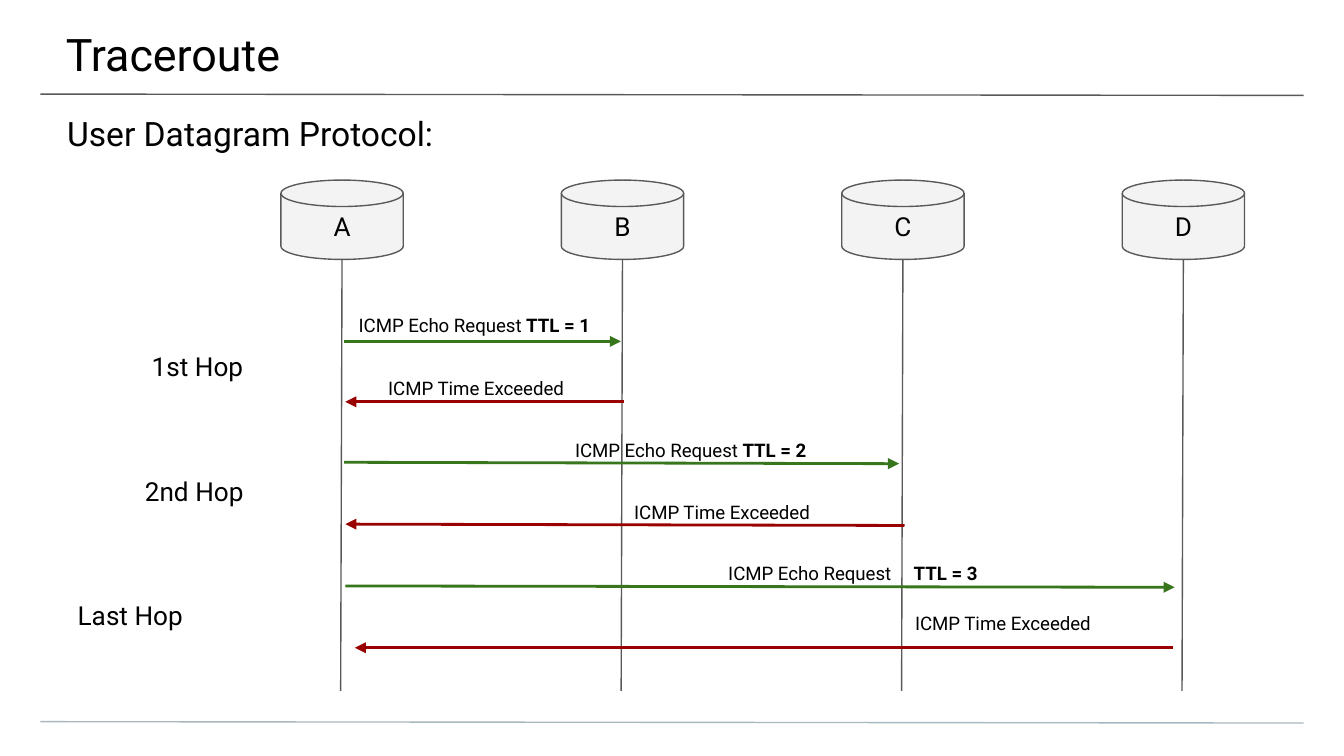
"""Build a slide showing the Traceroute message sequence across three hops."""
from dataclasses import dataclass

import pptx
import pptx.dml.color
import pptx.enum.shapes
import pptx.enum.text
import pptx.oxml
import pptx.oxml.ns
import pptx.util
from pptx.util import Inches

FONT = "Roboto"
BLACK = "000000"
GREY = "595959"
REQUEST_GREEN = "38761D"
REPLY_RED = "990000"
HOST_LEFT, HOST_TOP, HOST_WIDTH, HOST_HEIGHT = 2.09, 1.34, 0.91, 0.59
HOST_PITCH = 6.26 / 3
LIFELINE_END = 5.14
LIFELINE_LEAN = 0.01


@dataclass
class Label:
    text: str
    left: float
    top: float
    width: float
    height: float
    size: float
    bold_text: str = ""
    insets: tuple[float, float, float, float] = (0.1, 0.1, 0.1, 0.1)
    tab_stop: float | None = None


@dataclass
class Message:
    start: tuple[float, float]
    end: tuple[float, float]
    color: str
    label: Label


def rgb(color: str) -> pptx.dml.color.RGBColor:
    return pptx.dml.color.RGBColor.from_string(color)


def style_font(font, size: float) -> None:
    font.name = FONT
    font.size = pptx.util.Pt(size)
    font.color.rgb = rgb(BLACK)


def add_element(parent, tag: str, **attributes: str):
    element = pptx.oxml.parse_xml(f"<{tag} {pptx.oxml.ns.nsdecls('a')}/>")
    for name, value in attributes.items():
        element.set(name, value)
    parent.append(element)
    return element


def draw_label(slide, label: Label) -> None:
    box = slide.shapes.add_textbox(
        Inches(label.left), Inches(label.top), Inches(label.width), Inches(label.height)
    )
    frame = box.text_frame
    frame.word_wrap = True
    frame.margin_left, frame.margin_top, frame.margin_right, frame.margin_bottom = map(
        Inches, label.insets
    )
    paragraph = frame.paragraphs[0]
    if label.tab_stop is not None:
        tabs = add_element(paragraph._p.get_or_add_pPr(), "a:tabLst")
        add_element(tabs, "a:tab", pos=str(Inches(label.tab_stop)), algn="l")
    style_font(paragraph.font, label.size)
    paragraph.add_run().text = label.text
    if label.bold_text:
        bold_run = paragraph.add_run()
        bold_run.text = label.bold_text
        bold_run.font.bold = True


def draw_line(slide, start: tuple[float, float], end: tuple[float, float],
              color: str, width: float = 0.75, arrow: bool = False) -> None:
    line = slide.shapes.add_connector(
        pptx.enum.shapes.MSO_CONNECTOR.STRAIGHT, *map(Inches, (*start, *end))
    )
    line.line.color.rgb = rgb(color)
    line.line.width = pptx.util.Pt(width)
    if arrow:
        add_element(line.line._get_or_add_ln(), "a:tailEnd", type="triangle")
    add_element(line._element.spPr, "a:effectLst")


def draw_host(slide, name: str, left: float) -> None:
    host = slide.shapes.add_shape(
        pptx.enum.shapes.MSO_SHAPE.FLOWCHART_MAGNETIC_DISK,
        *map(Inches, (left, HOST_TOP, HOST_WIDTH, HOST_HEIGHT)),
    )
    host.shadow.inherit = False
    host.fill.solid()
    host.fill.fore_color.rgb = rgb("F3F3F3")
    host.line.color.rgb = rgb(GREY)
    host.line.width = pptx.util.Pt(0.75)
    frame = host.text_frame
    frame.margin_left = frame.margin_right = Inches(0.1)
    frame.margin_top = frame.margin_bottom = Inches(0.1)
    frame.vertical_anchor = pptx.enum.text.MSO_ANCHOR.MIDDLE
    paragraph = frame.paragraphs[0]
    paragraph.text = name
    paragraph.alignment = pptx.enum.text.PP_ALIGN.CENTER
    style_font(paragraph.font, 14)
    center = left + HOST_WIDTH / 2
    draw_line(slide, (center, HOST_TOP + HOST_HEIGHT),
              (center - LIFELINE_LEAN, LIFELINE_END), GREY)


def request(left: float, top: float, width: float, ttl: int, gap: str = " ",
            tab_stop: float | None = None) -> Label:
    return Label(f"ICMP Echo Request{gap}", left, top, width, 0.4, 10,
                 f"TTL = {ttl}", tab_stop=tab_stop)


def reply(left: float, top: float) -> Label:
    return Label("ICMP Time Exceeded", left, top, 1.61, 0.4, 10)


HEADINGS = [
    Label("Traceroute", -0.01, 0, 10.03, 0.58, 24, insets=(0.5, 0.2, 0.3, 0.1)),
    Label("User Datagram Protocol:", 0, 0.74, 10, 0.4, 18, insets=(0.5, 0.1, 0.5, 0)),
]
HOPS = [
    Label("1st Hop", 1.03, 2.51, 1.07, 0.46, 14),
    Label("2nd Hop", 0.98, 3.44, 1.17, 0.46, 14),
    Label("Last Hop", 0.48, 4.36, 1.17, 0.46, 14),
]
MESSAGES = [
    Message((2.56, 2.54), (4.62, 2.54), REQUEST_GREEN, request(2.57, 2.25, 2.05, 1)),
    Message((4.64, 2.99), (2.57, 2.99), REPLY_RED, reply(2.79, 2.72)),
    Message((2.56, 3.44), (6.69, 3.45), REQUEST_GREEN, request(4.18, 3.18, 2.05, 2)),
    Message((6.73, 3.91), (2.57, 3.9), REPLY_RED, reply(4.62, 3.64)),
    Message((2.57, 4.36), (8.74, 4.37), REQUEST_GREEN,
            request(5.32, 4.1, 2.39, 3, "\t", 1.38)),
    Message((8.73, 4.82), (2.64, 4.82), REPLY_RED, reply(6.71, 4.47)),
]


def main() -> None:
    presentation = pptx.Presentation()
    presentation.slide_width = Inches(10)
    presentation.slide_height = Inches(10 * 9 / 16)
    slide = presentation.slides.add_slide(presentation.slide_layouts[6])

    draw_line(slide, (0.3, 0.7), (9.7, 0.71), GREY)
    draw_line(slide, (0.3, 5.37), (9.7, 5.38), "A9B7C0")
    for heading in HEADINGS:
        draw_label(slide, heading)
    for index, name in enumerate("ABCD"):
        draw_host(slide, name, HOST_LEFT + index * HOST_PITCH)
    for hop in HOPS:
        draw_label(slide, hop)
    for message in MESSAGES:
        draw_line(slide, message.start, message.end, message.color, 1.5, arrow=True)
        draw_label(slide, message.label)

    presentation.save("out.pptx")


if __name__ == "__main__":
    main()
